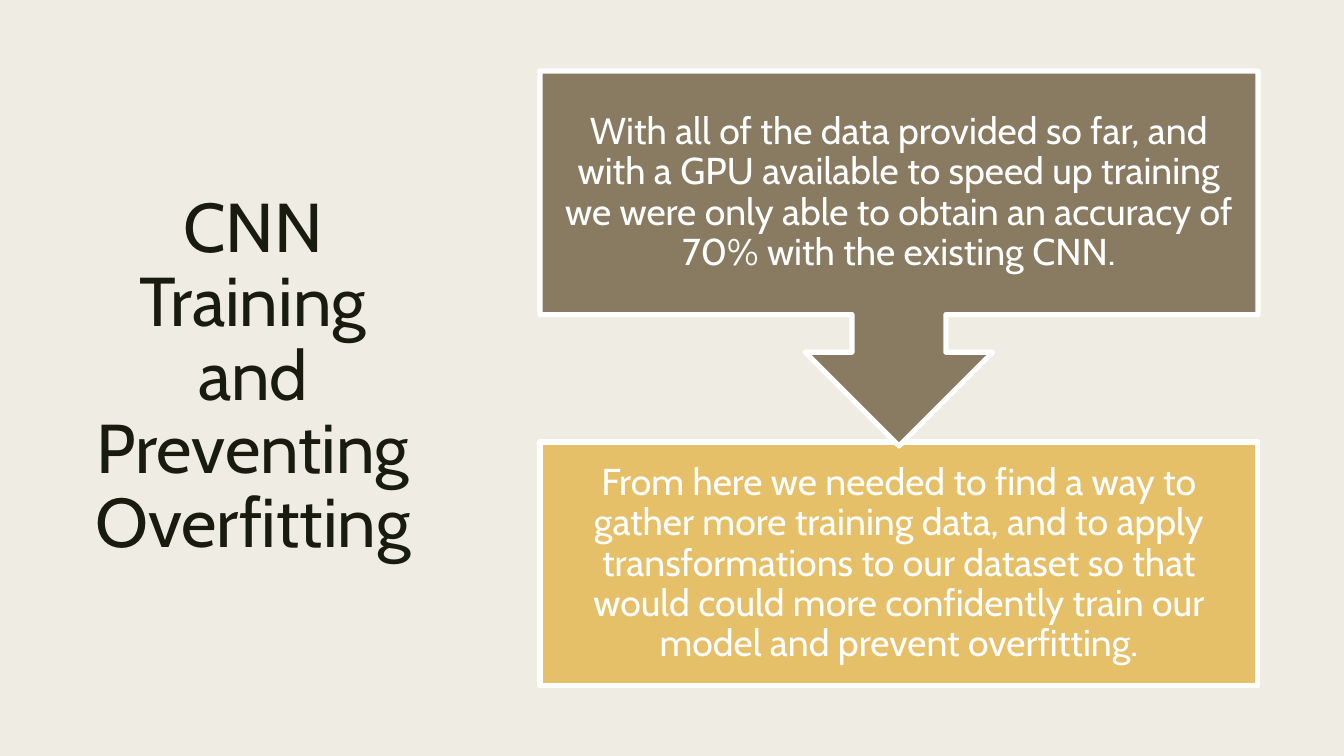
from pptx import Presentation
from pptx.dml.color import RGBColor
from pptx.enum.shapes import MSO_SHAPE
from pptx.enum.text import MSO_ANCHOR, MSO_AUTO_SIZE, PP_ALIGN
from pptx.util import Pt

EMU_PER_PX = 914400 / 134.4
FONT = "Cabin"
COLORS = {
    "background": "EFEDE3",
    "ink": "191B0E",
    "brown": "897B61",
    "gold": "E6C069",
    "white": "FFFFFF",
}
TITLE = "CNN Training and Preventing Overfitting"
RESULT = (
    "With all of the data provided so far, and with a GPU available to speed up "
    "training we were only able to obtain an accuracy of 70% with the existing CNN."
)
NEXT_STEP = (
    "From here we needed to find a way to gather more training data, and to apply "
    "transformations to our dataset so that would could more confidently train our "
    "model and prevent overfitting."
)


def px(length):
    return round(length * EMU_PER_PX)


def color(name):
    return RGBColor.from_string(COLORS[name])


def write_text(shape, text, *, size, ink, spacing, inset):
    frame = shape.text_frame
    frame.word_wrap = True
    frame.auto_size = MSO_AUTO_SIZE.NONE
    frame.vertical_anchor = MSO_ANCHOR.MIDDLE
    frame.margin_left = frame.margin_right = px(inset[0])
    frame.margin_top = frame.margin_bottom = px(inset[1])
    paragraph = frame.paragraphs[0]
    paragraph.alignment = PP_ALIGN.CENTER
    paragraph.line_spacing = spacing
    run = paragraph.add_run()
    run.text = text
    run.font.name = FONT
    run.font.size = Pt(size)
    run.font.color.rgb = color(ink)


def add_title(slide, left, top, width, height):
    title = slide.shapes.title
    title.left, title.top = px(left), px(top)
    title.width, title.height = px(width), px(height)
    write_text(title, TITLE, size=37, ink="ink", spacing=0.89, inset=(13, 7))


def add_step(slide, preset, left, top, width, height, *, fill, text):
    shape = slide.shapes.add_shape(preset, px(left), px(top), px(width), px(height))
    shape.shadow.inherit = False
    shape.fill.solid()
    shape.fill.fore_color.rgb = color(fill)
    shape.line.color.rgb = color("white")
    shape.line.width = Pt(2.75)
    write_text(shape, text, size=20, ink="white", spacing=0.9, inset=(21, 21))


def add_process(slide, left, top, width, height):
    box_height = 244
    callout_height = 375
    add_step(slide, MSO_SHAPE.RECTANGLE, left, top + height - box_height, width,
             box_height, fill="gold", text=NEXT_STEP)
    add_step(slide, MSO_SHAPE.DOWN_ARROW_CALLOUT, left, top, width,
             callout_height, fill="brown", text=RESULT)


def main():
    presentation = Presentation()
    presentation.slide_width, presentation.slide_height = px(1344), px(756)
    slide = presentation.slides.add_slide(presentation.slide_layouts[5])
    slide.background.fill.solid()
    slide.background.fill.fore_color.rgb = color("background")
    add_title(slide, 71, 70, 364, 616)
    add_process(slide, 540, 71, 718, 615)
    presentation.save("out.pptx")


if __name__ == "__main__":
    main()
